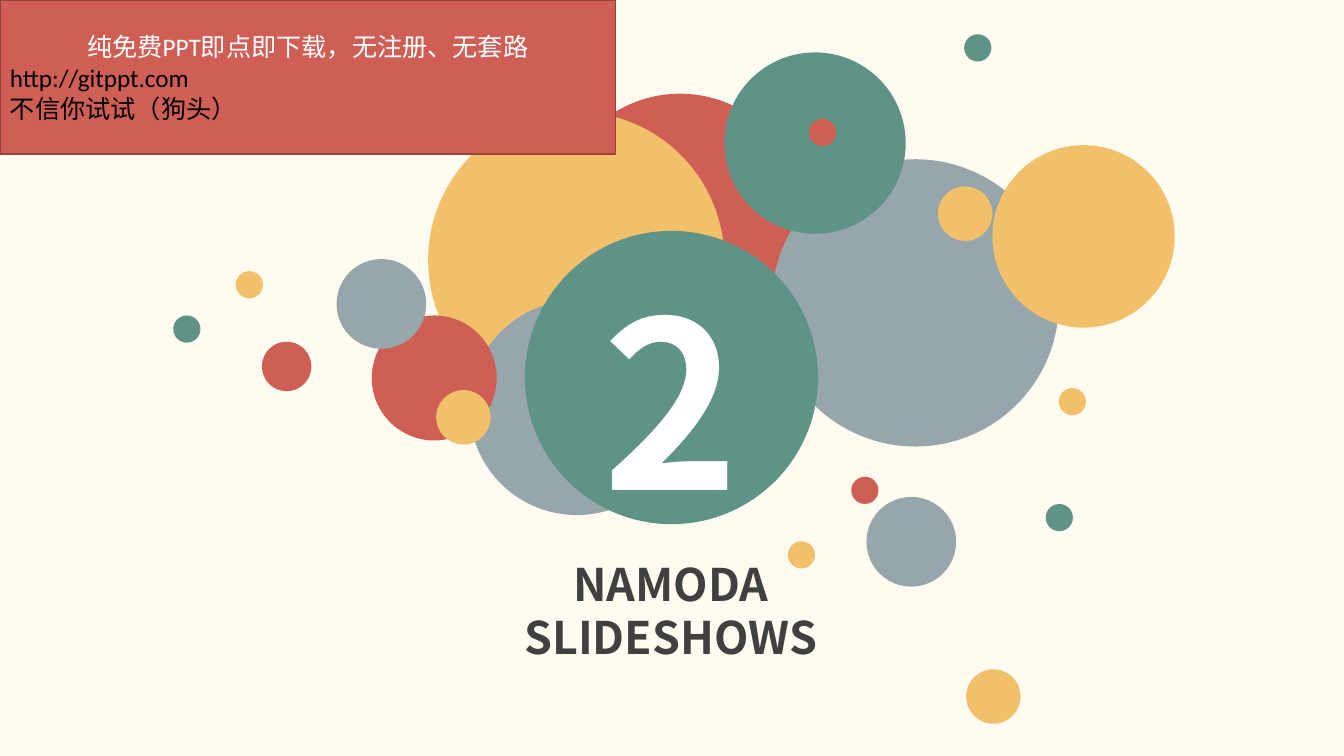
from dataclasses import dataclass

from lxml import etree
from pptx import Presentation
from pptx import util as u
from pptx.dml.color import RGBColor
from pptx.enum import shapes, text
from pptx.oxml import ns

PX = 9144

CREAM = RGBColor(0xFF, 0xFB, 0xF0)
CORAL = RGBColor(0xCF, 0x5F, 0x55)
BRICK = RGBColor(0x98, 0x44, 0x3C)
AMBER = RGBColor(0xF2, 0xC0, 0x6B)
SLATE = RGBColor(0x97, 0xA6, 0xAB)
TEAL = RGBColor(0x5F, 0x93, 0x87)
CHARCOAL = RGBColor(0x40, 0x40, 0x40)
WHITE = RGBColor(0xFF, 0xFF, 0xFF)
BLACK = RGBColor(0, 0, 0)

HEADING_FONT = "Noto Sans CJK SC"
BODY_FONT = "Calibri"
DOT, BUBBLE, BALL = 27, 54, 89


@dataclass(frozen=True)
class Circle:
    left: int
    top: int
    size: int
    color: RGBColor


CLUSTER = [
    Circle(552, 93, 246, CORAL),
    Circle(425, 111, 294, AMBER),
    Circle(466, 298, 213, SLATE),
    Circle(766, 158, 285, SLATE),
    Circle(719, 52, 180, TEAL),
    Circle(369, 313, 124, CORAL),
    Circle(860, 493, BALL, SLATE),
    Circle(845, 473, DOT, CORAL),
    Circle(782, 537, DOT, AMBER),
    Circle(1038, 500, DOT, TEAL),
    Circle(959, 664, BUBBLE, AMBER),
    Circle(985, 144, 181, AMBER),
    Circle(334, 257, BALL, SLATE),
    Circle(260, 339, 49, CORAL),
    Circle(234, 269, DOT, AMBER),
    Circle(172, 313, DOT, TEAL),
    Circle(433, 387, BUBBLE, AMBER),
    Circle(803, 118, DOT, CORAL),
    Circle(1051, 385, DOT, AMBER),
    Circle(957, 34, DOT, TEAL),
    Circle(931, 185, BUBBLE, AMBER),
]
CHAPTER = Circle(521, 229, 291, TEAL)


def px(length: int) -> int:
    return length * PX


def draw_shape(slide, kind, left: int, top: int, width: int, height: int, color: RGBColor):
    shape = slide.shapes.add_shape(kind, px(left), px(top), px(width), px(height))
    shape.shadow.inherit = False
    shape.fill.solid()
    shape.fill.fore_color.rgb = color
    shape.line.fill.background()
    return shape


def draw_circle(slide, circle: Circle):
    return draw_shape(slide, shapes.MSO_SHAPE.OVAL, circle.left, circle.top,
                      circle.size, circle.size, circle.color)


def write(frame, line: str, *, size: int, color: RGBColor, spacing: int,
          font: str = BODY_FONT, bold: bool = False, centered: bool = True) -> None:
    first = frame.paragraphs[0]
    paragraph = frame.add_paragraph() if first.runs else first
    paragraph.alignment = text.PP_ALIGN.CENTER if centered else text.PP_ALIGN.LEFT
    paragraph.line_spacing = u.Pt(spacing)
    run = paragraph.add_run()
    run.text = line
    run.font.size = u.Pt(size)
    run.font.bold = bold
    run.font.color.rgb = color
    run.font.name = font
    east_asian = etree.SubElement(run.font._element, ns.qn("a:ea"))
    east_asian.set("typeface", HEADING_FONT)


def draw_chapter(slide) -> None:
    chapter = draw_circle(slide, CHAPTER)
    chapter.text_frame.vertical_anchor = text.MSO_ANCHOR.MIDDLE
    write(chapter.text_frame, "2", size=166, color=WHITE, spacing=228,
          font=HEADING_FONT, bold=True)


def draw_title(slide) -> None:
    title = slide.shapes.add_textbox(px(365), px(548), px(602), px(117)).text_frame
    title.word_wrap = True
    title.auto_size = text.MSO_AUTO_SIZE.SHAPE_TO_FIT_TEXT
    for line in ("NAMODA", "SLIDESHOWS"):
        write(title, line, size=32, color=CHARCOAL, spacing=38,
              font=HEADING_FONT, bold=True)


def draw_banner(slide) -> None:
    banner = draw_shape(slide, shapes.MSO_SHAPE.RECTANGLE, 0, 0, 611, 153, CORAL)
    banner.line.color.rgb = BRICK
    banner.line.width = u.Pt(1)
    frame = banner.text_frame
    frame.vertical_anchor = text.MSO_ANCHOR.MIDDLE
    write(frame, "纯免费PPT即点即下载，无注册、无套路", size=18, color=WHITE, spacing=22)
    for line in ("http://gitppt.com", "不信你试试（狗头）"):
        write(frame, line, size=18, color=BLACK, spacing=22, centered=False)


def main() -> None:
    deck = Presentation()
    deck.slide_width, deck.slide_height = px(1334), px(750)
    slide = deck.slides.add_slide(deck.slide_layouts[6])
    slide.background.fill.solid()
    slide.background.fill.fore_color.rgb = CREAM
    for circle in CLUSTER:
        draw_circle(slide, circle)
    draw_chapter(slide)
    draw_title(slide)
    draw_banner(slide)
    deck.save("out.pptx")


if __name__ == "__main__":
    main()
